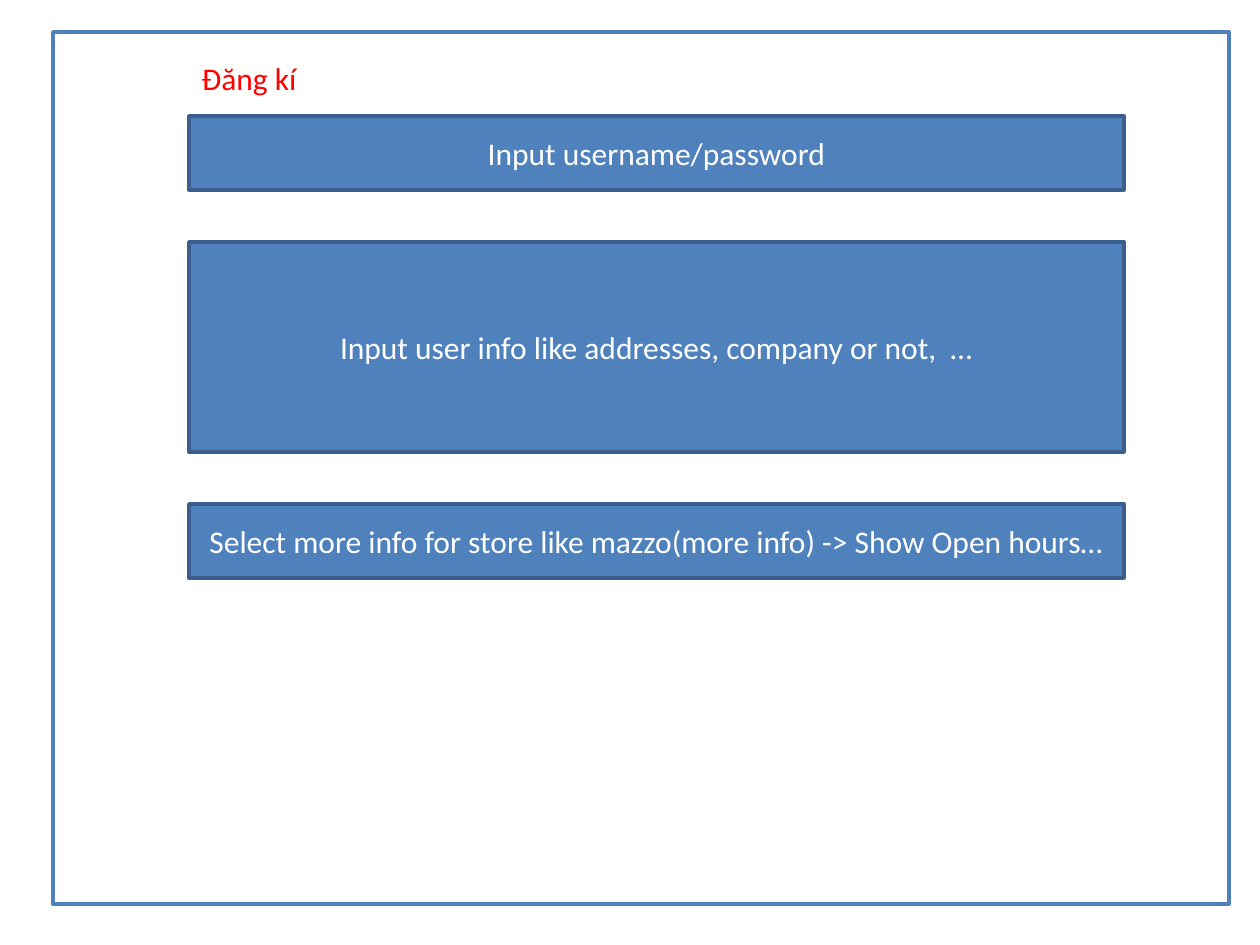
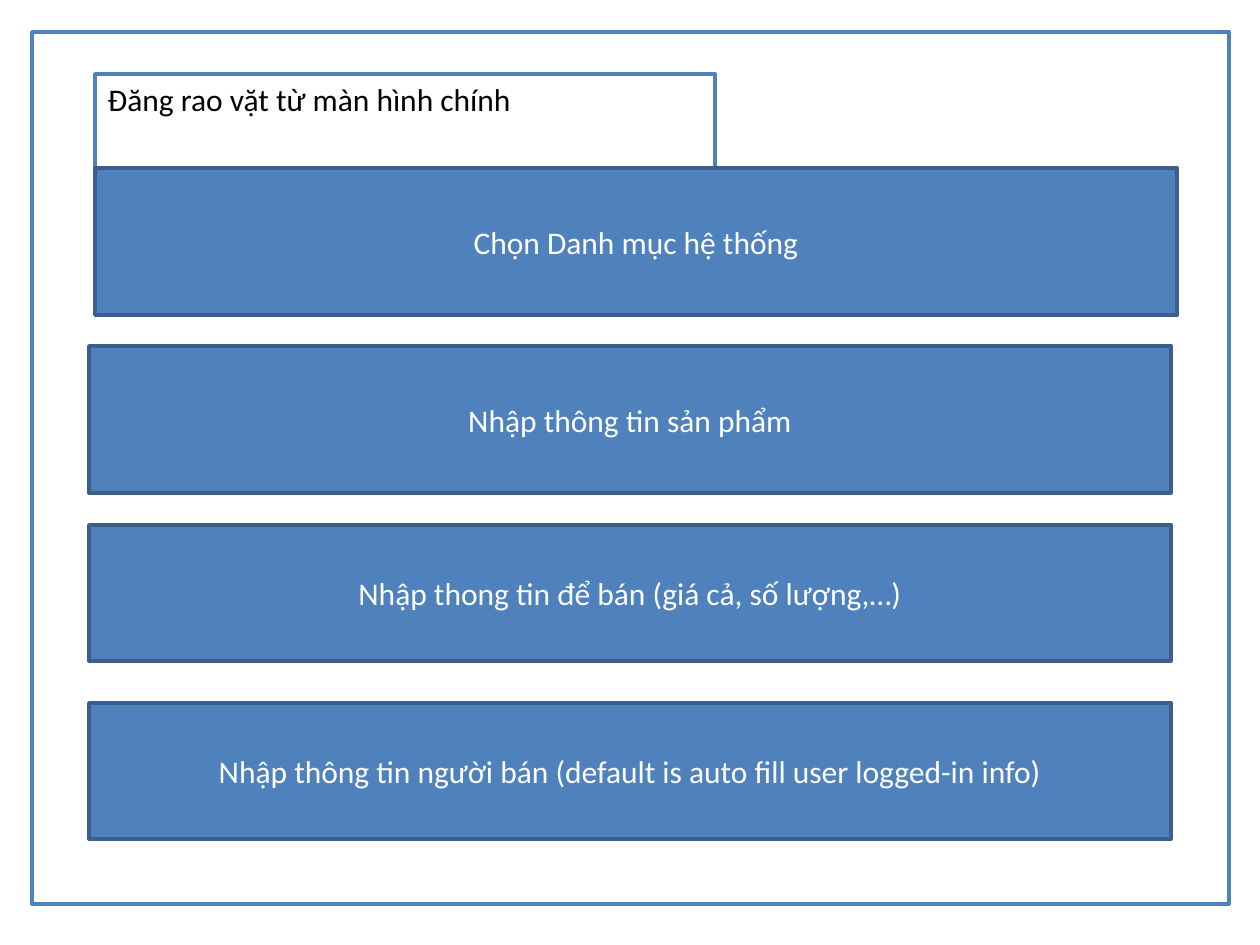
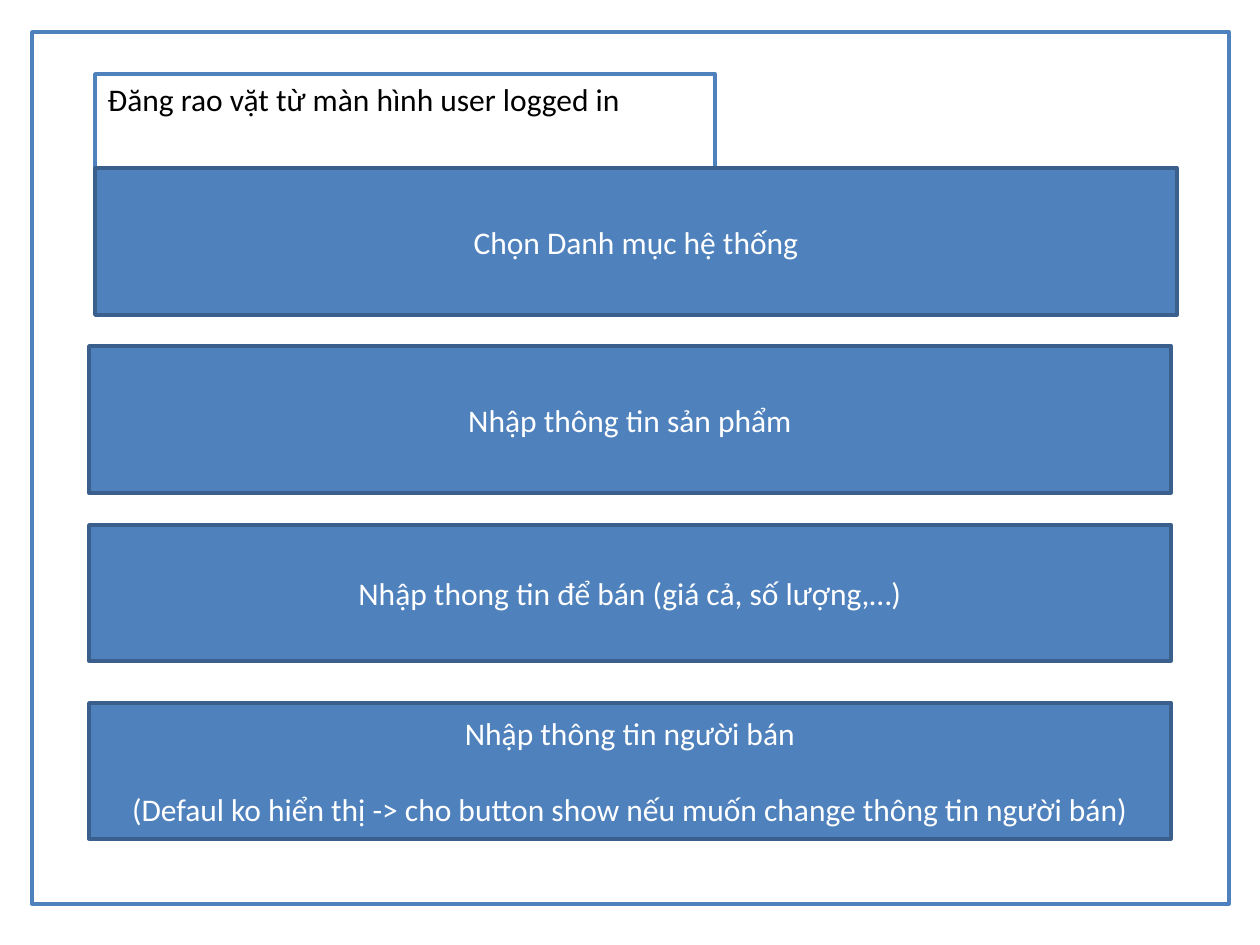
from pptx import Presentation
from pptx.dml.color import RGBColor
from pptx.enum.shapes import MSO_SHAPE
from pptx.enum.text import MSO_ANCHOR, MSO_AUTO_SIZE, PP_ALIGN
from pptx.util import Emu, Pt

# Shared look
PIXEL = 914400 // 126
PAGE_WIDTH, PAGE_HEIGHT = 1260, 945
TITLE_ONLY_LAYOUT = 5
FONT, FONT_SIZE, LINE_WIDTH = "Calibri", 18, 2
BLANK_LINE = 22  # points
WHITE, BLACK, RED = "FFFFFF", "000000", "FF0000"
BLUE, DARK_BLUE = "4F81BD", "3A5F8C"
RECTANGLE = MSO_SHAPE.RECTANGLE
LEFT, CENTER = PP_ALIGN.LEFT, PP_ALIGN.CENTER
TOP, MIDDLE = MSO_ANCHOR.TOP, MSO_ANCHOR.MIDDLE
FIT_SHAPE = MSO_AUTO_SIZE.SHAPE_TO_FIT_TEXT


def color(hex_string):
    return RGBColor.from_string(hex_string)


def emu_box(box):
    return [Emu(length * PIXEL) for length in box]


def paint(shape, fill, line):
    shape.fill.solid()
    shape.fill.fore_color.rgb = color(fill)
    shape.line.color.rgb = color(line)
    shape.line.width = Pt(LINE_WIDTH)


def write(shape, lines, text_color, alignment, anchor):
    """Fill a shape with text, leaving one line's space between paragraphs."""
    frame = shape.text_frame
    frame.word_wrap = True
    frame.vertical_anchor = anchor
    frame.text = "\n".join(lines)
    for index, paragraph in enumerate(frame.paragraphs):
        paragraph.alignment = alignment
        paragraph.space_before = Pt(BLANK_LINE if index else 0)
        for run in paragraph.runs:
            run.font.name = FONT
            run.font.size = Pt(FONT_SIZE)
            run.font.color.rgb = color(text_color)


def add_rectangle(slide, box, fill, line):
    shape = slide.shapes.add_shape(RECTANGLE, *emu_box(box))
    shape.shadow.inherit = False
    paint(shape, fill, line)
    return shape


def add_step(slide, box, *lines):
    shape = add_rectangle(slide, box, BLUE, DARK_BLUE)
    write(shape, lines, WHITE, CENTER, MIDDLE)


def place_title(slide, box, text, text_color):
    """Place the title placeholder in front of the frame."""
    title = slide.shapes.title
    title.left, title.top, title.width, title.height = emu_box(box)
    write(title, [text], text_color, LEFT, TOP)
    title.text_frame.auto_size = FIT_SHAPE
    element = title._element
    element.getparent().append(element)
    return title


def add_screen(presentation, frame_box):
    layout = presentation.slide_layouts[TITLE_ONLY_LAYOUT]
    slide = presentation.slides.add_slide(layout)
    add_rectangle(slide, frame_box, WHITE, BLUE)
    return slide


def add_registration_slide(presentation, frame_box):
    slide = add_screen(presentation, frame_box)
    left, top = frame_box[0] + 136, frame_box[1]
    place_title(slide, (left, top + 21, 252, 51), "Đăng kí", RED)

    # Form sections, one gap apart
    gap = 52
    sections = [
        ("Input username/password", 74),
        ("Input user info like addresses, company or not,  …", 210),
        ("Select more info for store like mazzo(more info) -> Show Open hours…", 74),
    ]
    section_top = top + 84
    for text, height in sections:
        add_step(slide, (left, section_top, 935, height), text)
        section_top += height + gap


def add_posting_slide(presentation, frame_box, heading, seller_lines):
    slide = add_screen(presentation, frame_box)
    left, top = frame_box[:2]
    title = place_title(slide, (left + 63, top + 42, 620, 51), heading, BLACK)
    paint(title, WHITE, BLUE)

    # Posting steps: left offset, height and text
    steps = [
        (63, 147, ["Chọn Danh mục hệ thống"]),
        (57, 147, ["Nhập thông tin sản phẩm"]),
        (57, 136, ["Nhập thong tin để bán (giá cả, số lượng,…)"]),
        (57, 136, seller_lines),
    ]
    for index, (offset, height, lines) in enumerate(steps):
        step_top = top + 136 + index * 357 // 2
        add_step(slide, (left + offset, step_top, 1082, height), *lines)


presentation = Presentation()
presentation.slide_width = Emu(PAGE_WIDTH * PIXEL)
presentation.slide_height = Emu(PAGE_HEIGHT * PIXEL)

add_registration_slide(presentation, (53, 32, 1176, 872))

posting_frame = (32, 32, 1197, 872)
add_posting_slide(
    presentation, posting_frame, "Đăng rao vặt từ màn hình chính",
    ["Nhập thông tin người bán (default is auto fill user logged-in info)"])
add_posting_slide(
    presentation, posting_frame, "Đăng rao vặt từ màn hình user logged in",
    ["Nhập thông tin người bán",
     "(Defaul ko hiển thị -> cho button show nếu muốn change thông tin người bán)"])

presentation.save("out.pptx")
